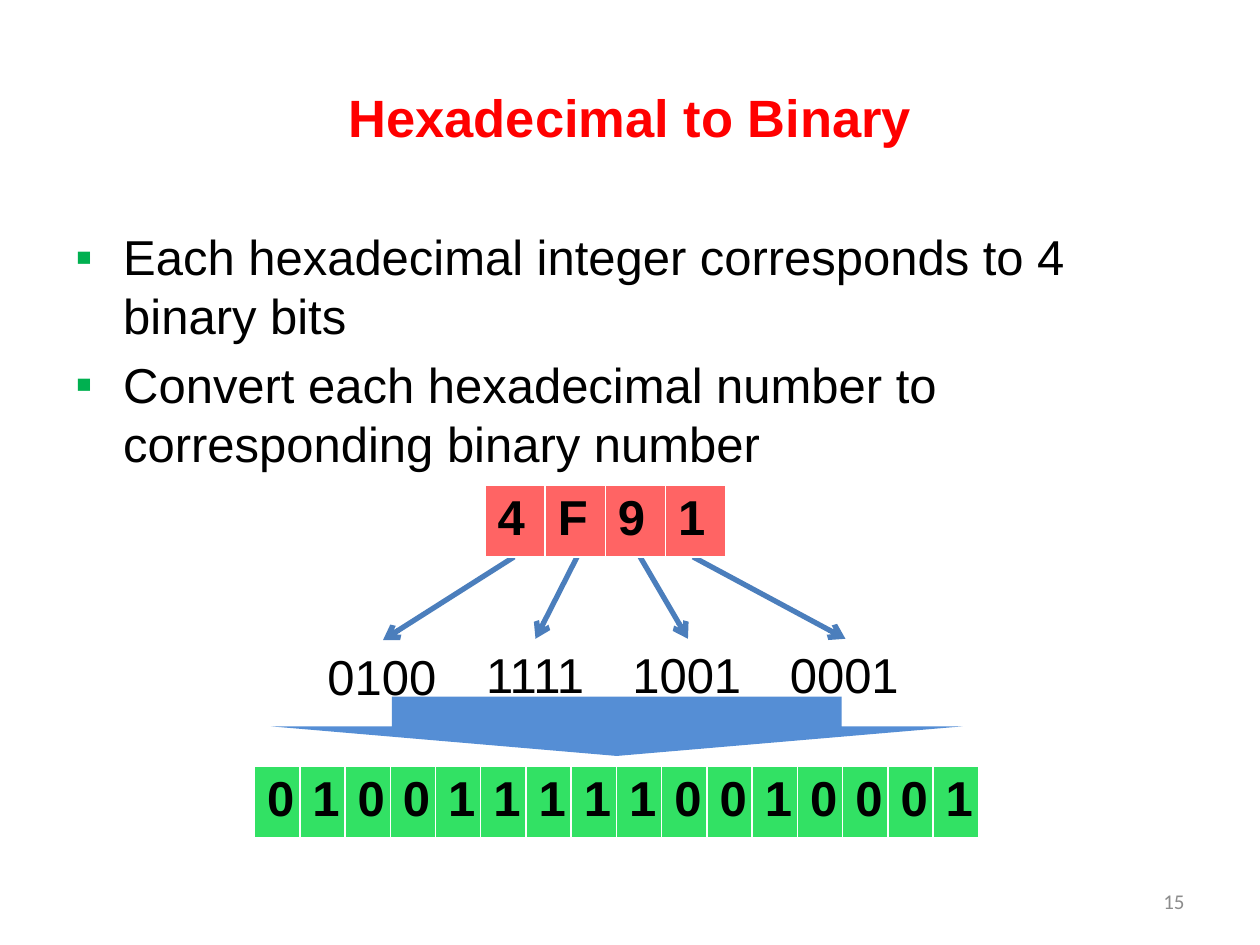
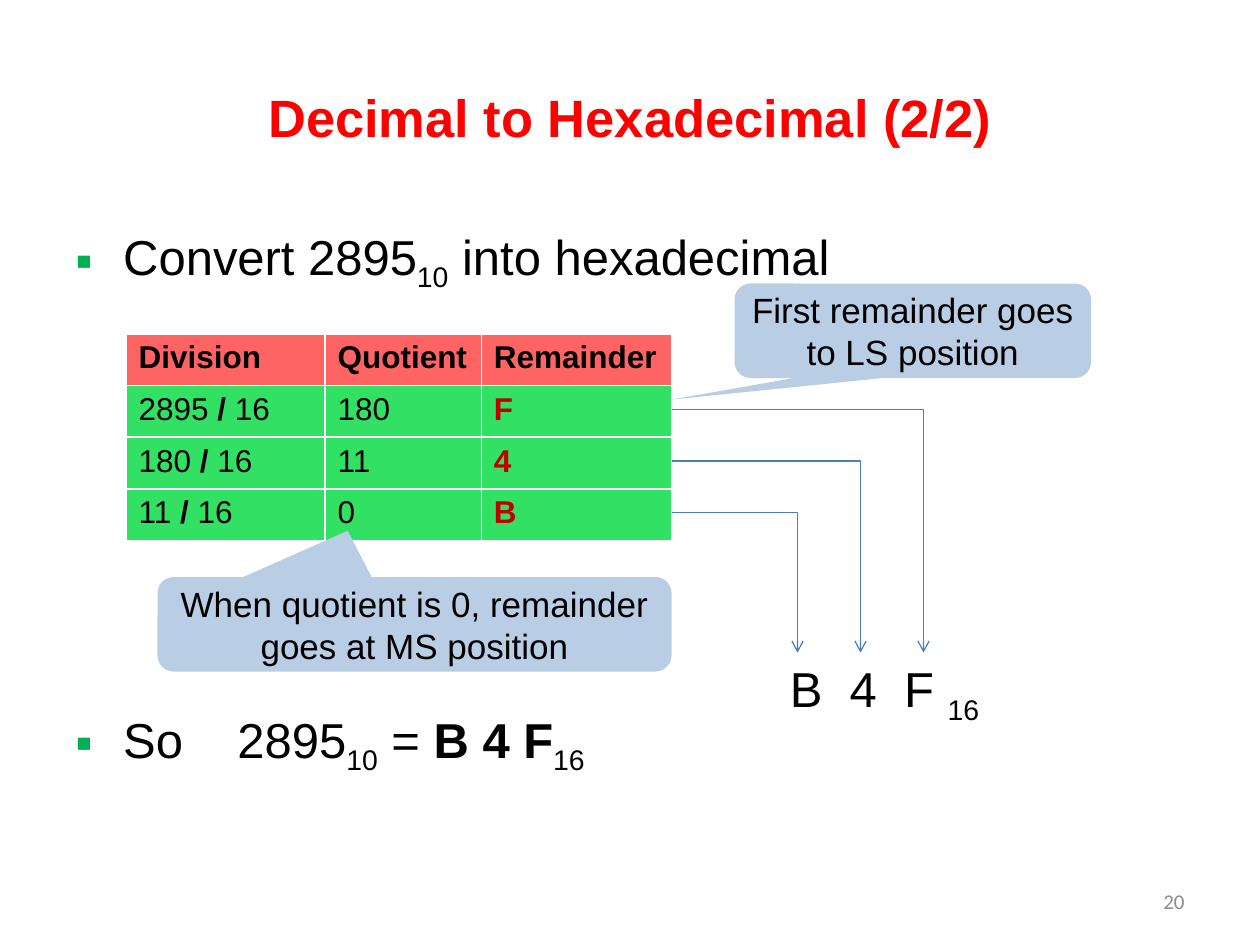
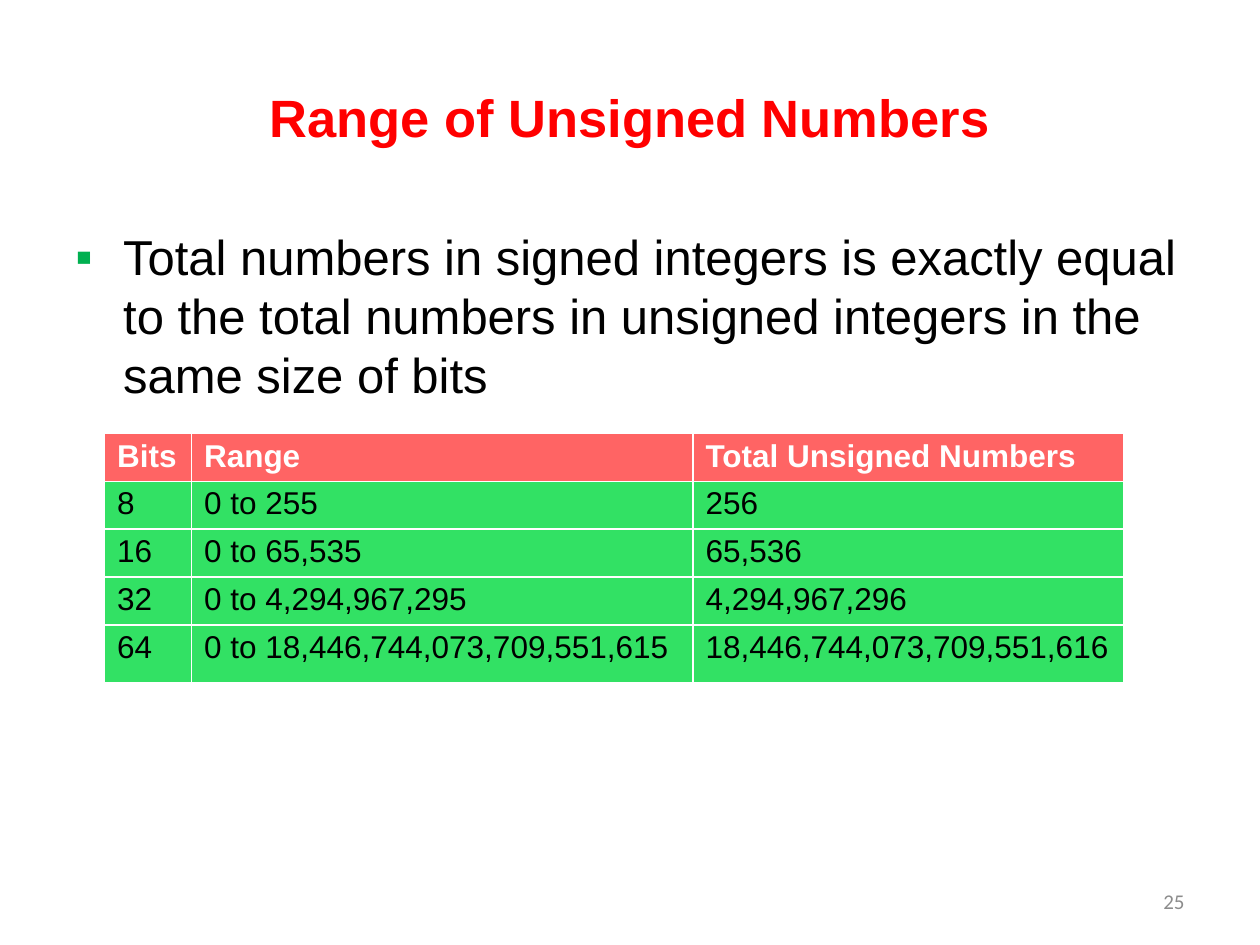
from lxml.etree import SubElement
from pptx import Presentation
from pptx.dml.color import RGBColor
from pptx.enum.shapes import MSO_CONNECTOR, MSO_SHAPE
from pptx.enum.text import MSO_ANCHOR, PP_ALIGN
from pptx.oxml.ns import qn
from pptx.util import Inches, Pt

COLORS = {
    "title": "FF0000", "text": "000000", "bullet": "00B050", "number": "8C8C8C",
    "header": "FF6464", "cell": "32E164", "remainder": "C00000", "white": "FFFFFF",
    "line": "4B7EBC", "arrow": "558ED5", "callout": "B9CDE5",
}
SUBSCRIPT = {"baseline": -25000}


def color(name):
    return RGBColor.from_string(COLORS[name])


def inches(*values):
    return [Inches(value) for value in values]


def gap(spaces):
    """One space, widened to take the room of several at 28 points."""
    return " ", {"spacing": (spaces - 1) * 7.78}


def write_text(paragraph, text, size=28, font="Arial", fill="text", bold=False,
               align=PP_ALIGN.LEFT):
    """Fill a paragraph from a string or from strings and (string, changes) pairs."""
    paragraph.alignment = align
    for part in [text] if isinstance(text, str) else text:
        words, changes = (part, {}) if isinstance(part, str) else part
        run = paragraph.add_run()
        run.text = words
        run.font.name = font
        run.font.size = Pt(size)
        run.font.bold = changes.get("bold", bold)
        run.font.color.rgb = color(changes.get("fill", fill))
        properties = run._r.get_or_add_rPr()
        if "baseline" in changes:
            properties.set("baseline", str(changes["baseline"]))
        if "spacing" in changes:
            properties.set("spc", str(round(changes["spacing"] * 100)))


class Deck:
    def __init__(self):
        self.presentation = Presentation()
        self.presentation.slide_width, self.presentation.slide_height = inches(10, 7.5)
        self.slide = None

    def add_slide(self, title, number):
        self.slide = self.presentation.slides.add_slide(self.presentation.slide_layouts[6])
        self.text((0.5, 0.3, 9, 1.25), title, anchor=MSO_ANCHOR.MIDDLE, size=30,
                  fill="title", bold=True, align=PP_ALIGN.CENTER)
        self.text((7.17, 6.95, 2.33, 0.4), str(number), anchor=MSO_ANCHOR.MIDDLE,
                  size=12, font="Calibri", fill="number", align=PP_ALIGN.RIGHT)

    def text(self, box, text, anchor=MSO_ANCHOR.TOP, wrap=True, **text_format):
        frame = self.slide.shapes.add_textbox(*inches(*box)).text_frame
        frame.word_wrap = wrap
        frame.vertical_anchor = anchor
        write_text(frame.paragraphs[0], text, **text_format)

    def bullets(self, items, top=1.75, height=0.75):
        frame = self.slide.shapes.add_textbox(*inches(0.5, top, 9, height)).text_frame
        frame.word_wrap = True
        for index, item in enumerate(items):
            paragraph = frame.add_paragraph() if index else frame.paragraphs[0]
            if index:
                paragraph.space_before = Pt(5.6)
            properties = paragraph._p.get_or_add_pPr()
            properties.set("marL", str(Inches(0.38)))
            properties.set("indent", str(-Inches(0.38)))
            bullet_color = SubElement(properties, qn("a:buClr"))
            SubElement(bullet_color, qn("a:srgbClr")).set("val", COLORS["bullet"])
            SubElement(properties, qn("a:buFont")).set("typeface", "Arial")
            SubElement(properties, qn("a:buChar")).set("char", "▪")
            write_text(paragraph, item)

    def table(self, left, top, widths, heights, rows, fills, margin=0.05, size=18,
              header_color="text"):
        """Draw rows; fills gives the header fill, then the fill of the other rows."""
        frame = self.slide.shapes.add_table(
            len(rows), len(widths), *inches(left, top, sum(widths), sum(heights)))
        table = frame.table
        table.horz_banding = False
        for column, width in zip(table.columns, widths):
            column.width = Inches(width)
        for index, (row, height, values) in enumerate(zip(table.rows, heights, rows)):
            row.height = Inches(height)
            header = index == 0
            for cell, value in zip(row.cells, values):
                cell.margin_top = cell.margin_bottom = Inches(margin)
                cell.fill.solid()
                cell.fill.fore_color.rgb = color(fills[0 if header else 1])
                write_text(cell.text_frame.paragraphs[0], value, size=size, bold=header,
                           fill=header_color if header else "text")

    def arrow(self, start, end, width, bent=False):
        kind = MSO_CONNECTOR.ELBOW if bent else MSO_CONNECTOR.STRAIGHT
        connector = self.slide.shapes.add_connector(kind, *inches(*start, *end))
        connector.line.color.rgb = color("line")
        connector.line.width = Pt(width)
        properties = connector._element.spPr
        SubElement(properties.find(qn("a:ln")), qn("a:tailEnd")).set("type", "arrow")
        SubElement(properties, qn("a:effectLst"))
        if bent:
            guide = SubElement(properties.find(".//" + qn("a:avLst")), qn("a:gd"))
            guide.set("name", "adj1")
            guide.set("fmla", "val 100000")

    def shape(self, kind, box, fill, adjustments, text=None):
        shape = self.slide.shapes.add_shape(kind, *inches(*box))
        shape.shadow.inherit = False
        shape.fill.solid()
        shape.fill.fore_color.rgb = color(fill)
        shape.line.fill.background()
        for index, value in enumerate(adjustments):
            shape.adjustments[index] = value
        if text:
            shape.text_frame.word_wrap = True
            shape.text_frame.vertical_anchor = MSO_ANCHOR.MIDDLE
            write_text(shape.text_frame.paragraphs[0], text, size=20,
                       align=PP_ALIGN.CENTER)


def hexadecimal_to_binary(deck):
    deck.add_slide("Hexadecimal to Binary", 15)
    deck.bullets(["Each hexadecimal integer corresponds to 4 binary bits",
                  "Convert each hexadecimal number to corresponding binary number"],
                 height=4.95)
    groups = [
        ("4", "0100", (2.5, 5.08, 1.08), 4.08, (3.04, 5.08)),
        ("F", "1111", (3.76, 5.07, 0.99), 4.58, (4.25, 5.07)),
        ("9", "1001", (4.92, 5.07, 1.08), 5.08, (5.46, 5.07)),
        ("1", "0001", (6.17, 5.07, 1.08), 5.5, (6.71, 5.07)),
    ]
    for _, bits, box, start, end in groups:
        deck.text((*box, 0.57), bits, wrap=False)
        deck.arrow((start, 4.42), end, 3)
    digits = [group[0] for group in groups]
    all_bits = "".join(group[1] for group in groups)
    for left, top, width, values, fill in [(3.85, 3.85, 1.91, digits, "header"),
                                           (2.02, 6.08, 5.75, all_bits, "cell")]:
        deck.table(left, top, [width / len(values)] * len(values), [0.57], [values],
                   [fill], size=28)
    deck.shape(MSO_SHAPE.DOWN_ARROW, (2.15, 5.53, 5.49, 0.47), "arrow", [0.65, 0.5])


def decimal_to_hexadecimal(deck):
    deck.add_slide("Decimal to Hexadecimal (2/2)", 20)
    deck.bullets([["Convert 2895", ("10", SUBSCRIPT), " into hexadecimal"]])
    rows = [["Division", "Quotient", "Remainder"]]
    for dividend, quotient, remainder in [("2895", "180", "F"), ("180", "11", "4"),
                                          ("11", "0", "B")]:
        rows.append([[dividend + " ", ("/", {"bold": True}), " 16"], quotient,
                     [(remainder, {"bold": True, "fill": "remainder"})]])
    deck.table(1, 2.65, [1.58, 1.24, 1.51], [0.41] * 4, rows, ["header", "cell"])
    deck.text((6.17, 5.18, 1.76, 0.57),
              ["B", gap(2), "4", gap(2), "F ", ("16", SUBSCRIPT)], wrap=False)
    for index in range(3):
        deck.arrow((5.33, 3.25 + 0.41 * index), (7.33 - 0.5 * index, 5.18), 0.75, bent=True)
    deck.bullets([["So", gap(4), "2895", ("10", SUBSCRIPT), " = ",
                   ("B 4 F", {"bold": True}), ("16", SUBSCRIPT)]], top=5.58)
    callout = MSO_SHAPE.ROUNDED_RECTANGULAR_CALLOUT
    deck.shape(callout, (5.83, 2.25, 2.83, 0.75), "callout", [-0.68, 0.73, 0.17],
               "First remainder goes to LS position")
    deck.shape(callout, (1.25, 4.58, 4.08, 0.75), "callout", [-0.13, -0.99, 0.17],
               "When quotient is 0, remainder goes at MS position")


def unsigned_range(deck):
    deck.add_slide("Range of Unsigned Numbers", 25)
    deck.bullets(["Total numbers in signed integers is exactly equal to the total numbers "
                  "in unsigned integers in the same size of bits"], height=4.95)
    rows = [["Bits", "Range", "Total Unsigned Numbers"]]
    for bits in (8, 16, 32, 64):
        rows.append([str(bits), f"0 to {2 ** bits - 1:,}", f"{2 ** bits:,}"])
    deck.table(0.83, 3.44, [0.69, 3.98, 3.42], [0.38] * 4 + [0.46], rows,
               ["header", "cell"], margin=0.04, header_color="white")


def main():
    deck = Deck()
    hexadecimal_to_binary(deck)
    decimal_to_hexadecimal(deck)
    unsigned_range(deck)
    deck.presentation.save("out.pptx")


if __name__ == "__main__":
    main()
